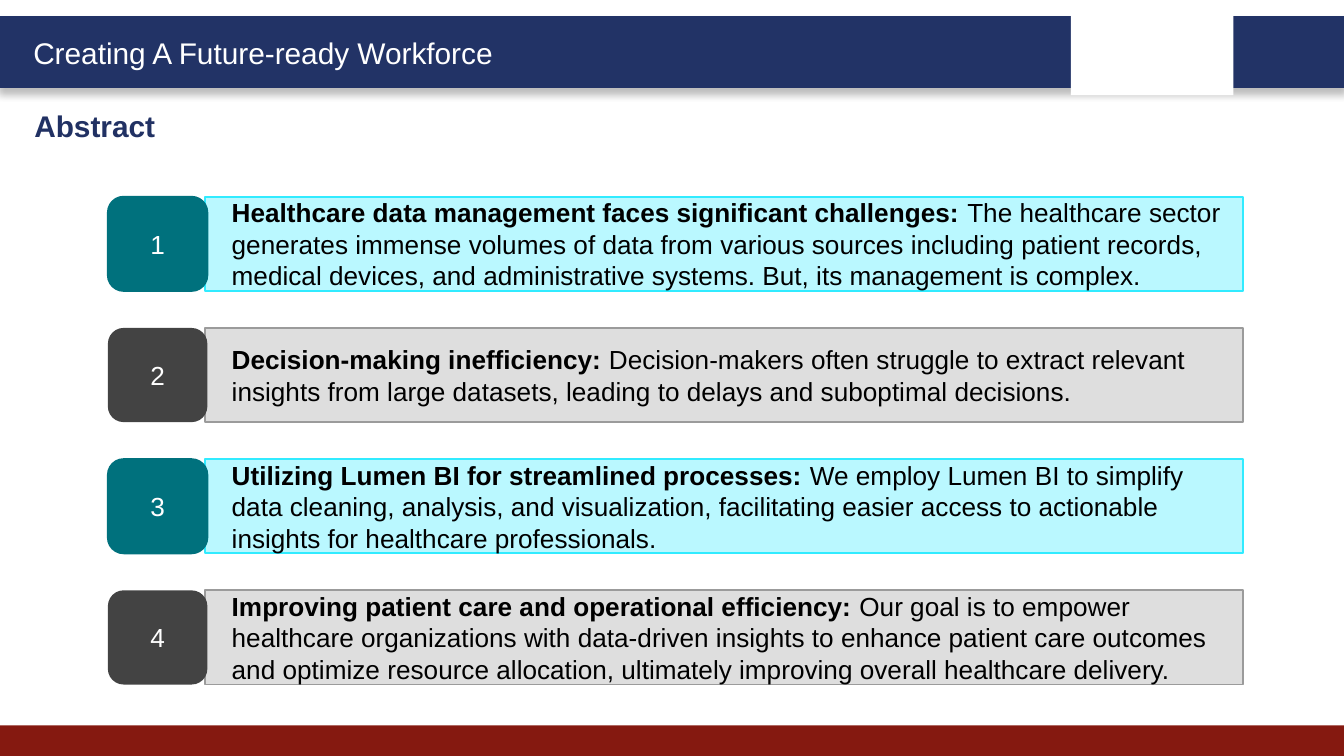
import pptx
import pptx.util
import pptx.dml.color
import pptx.enum.shapes
import pptx.enum.text
import lxml.etree

Cm = pptx.util.Cm
Pt = pptx.util.Pt
RGBColor = pptx.dml.color.RGBColor
MSO_SHAPE = pptx.enum.shapes.MSO_SHAPE
PP_ALIGN = pptx.enum.text.PP_ALIGN
MSO_ANCHOR = pptx.enum.text.MSO_ANCHOR

NAVY = RGBColor(0x22, 0x33, 0x66)
TITLE_NAVY = RGBColor(0x21, 0x31, 0x63)
RED = RGBColor(0x85, 0x19, 0x10)
WHITE = RGBColor(0xFF, 0xFF, 0xFF)
BLACK = RGBColor(0x00, 0x00, 0x00)
TEAL = RGBColor(0x00, 0x71, 0x7D)
CYAN = RGBColor(0x31, 0xEB, 0xFF)
PALE_CYAN = RGBColor(0xBA, 0xF8, 0xFF)
CHARCOAL = RGBColor(0x43, 0x43, 0x43)
GREY = RGBColor(0x9B, 0x9B, 0x9B)
PALE_GREY = RGBColor(0xDE, 0xDE, 0xDE)

SHADOW = (
    '<a:effectLst xmlns:a="http://schemas.openxmlformats.org/drawingml/2006/main">'
    '<a:outerShdw blurRad="50800" dist="38100" dir="5400000" algn="t" rotWithShape="0">'
    '<a:srgbClr val="000000"><a:alpha val="25000"/></a:srgbClr>'
    '</a:outerShdw></a:effectLst>'
)

ITEMS = [
    ("Healthcare data management faces significant challenges: ",
     "The healthcare sector generates immense volumes of data from various sources "
     "including patient records, medical devices, and administrative systems. "
     "But, its management is complex."),
    ("Decision-making inefficiency: ",
     "Decision-makers often struggle to extract relevant insights from large datasets, "
     "leading to delays and suboptimal decisions."),
    ("Utilizing Lumen BI for streamlined processes: ",
     "We employ Lumen BI to simplify data cleaning, analysis, and visualization, "
     "facilitating easier access to actionable insights for healthcare professionals."),
    ("Improving patient care and operational efficiency: ",
     "Our goal is to empower healthcare organizations with data-driven insights to "
     "enhance patient care outcomes and optimize resource allocation, ultimately "
     "improving overall healthcare delivery."),
]
STYLES = [(PALE_CYAN, CYAN, TEAL, TEAL), (PALE_GREY, GREY, CHARCOAL, None)]

prs = pptx.Presentation()
prs.slide_width = Cm(25.4)
prs.slide_height = Cm(14.29)
s = prs.slides.add_slide(prs.slide_layouts[6])


def add_block(kind, left, top, width, height, fill, line=None, weight=1):
    sp = s.shapes.add_shape(kind, Cm(left), Cm(top), Cm(width), Cm(height))
    sp.shadow.inherit = False
    sp.fill.solid()
    sp.fill.fore_color.rgb = fill
    if line is None:
        sp.line.fill.background()
    else:
        sp.line.color.rgb = line
        sp.line.width = Pt(weight)
    sp.text_frame.vertical_anchor = MSO_ANCHOR.MIDDLE
    return sp


def style_run(r, size, color, bold=False):
    r.font.name = "Arial"
    r.font.size = Pt(size)
    r.font.color.rgb = color
    r.font.bold = bold


header = add_block(MSO_SHAPE.RECTANGLE, 0, 0.33, 25.4, 1.3, NAVY, NAVY, 2)
spPr = header.element.spPr
spPr.replace(spPr[-1], lxml.etree.fromstring(SHADOW, pptx.oxml.oxml_parser))
add_block(MSO_SHAPE.RECTANGLE, 0, 13.71, 25.4, 0.58, RED)
add_block(MSO_SHAPE.RECTANGLE, 20.24, 0.18, 3.07, 1.62, WHITE)

for text, left, top, width, color, bold in [
    ("Creating A Future-ready Workforce", 0.38, 0.54, 9.6, WHITE, False),
    ("Abstract", 0.4, 1.91, 12.3, TITLE_NAVY, True),
]:
    tf = s.shapes.add_textbox(Cm(left), Cm(top), Cm(width), Cm(0.94)).text_frame
    tf.word_wrap = True
    tf.text = text
    style_run(tf.paragraphs[0].runs[0], 16, color, bold)

for i, (heading, detail) in enumerate(ITEMS):
    top = 3.72 + i * 2.48
    panel_fill, panel_line, badge_fill, badge_line = STYLES[i % 2]

    panel = add_block(MSO_SHAPE.RECTANGLE, 3.88, top, 19.62, 1.78, panel_fill, panel_line)
    p = panel.text_frame.paragraphs[0]
    p.alignment = PP_ALIGN.LEFT
    p._p.get_or_add_pPr().set("marL", str(Cm(0.25)))
    for text, bold in [(heading, True), (detail, False)]:
        r = p.add_run()
        r.text = text
        style_run(r, 14, BLACK, bold)

    badge = add_block(MSO_SHAPE.ROUNDED_RECTANGLE, 2.04, top, 1.88, 1.78, badge_fill, badge_line)
    badge.text_frame.text = str(i + 1)
    p = badge.text_frame.paragraphs[0]
    p.alignment = PP_ALIGN.CENTER
    style_run(p.runs[0], 14, WHITE)

prs.save("out.pptx")
